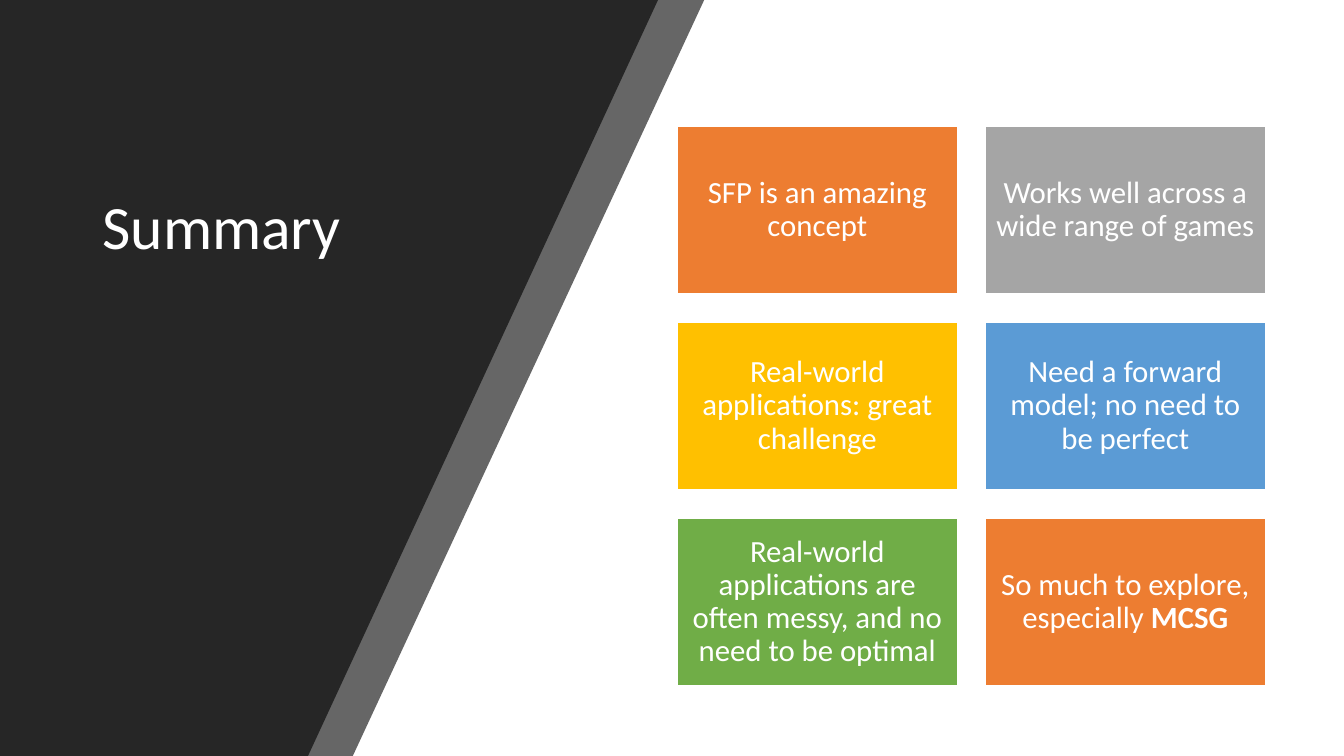
from dataclasses import dataclass

from lxml.etree import SubElement
from pptx import Presentation
from pptx.dml.color import RGBColor
from pptx.enum.shapes import MSO_SHAPE
from pptx.enum.text import MSO_ANCHOR, MSO_AUTO_SIZE, PP_ALIGN
from pptx.oxml.ns import qn
from pptx.shapes.autoshape import Shape
from pptx.slide import Slide
from pptx.util import Pt

WHITE = RGBColor(0xFF, 0xFF, 0xFF)
DARK = RGBColor(0x26, 0x26, 0x26)
ORANGE = RGBColor(0xED, 0x7D, 0x31)
GRAY = RGBColor(0xA5, 0xA5, 0xA5)
GOLD = RGBColor(0xFF, 0xC0, 0x00)
BLUE = RGBColor(0x5B, 0x9B, 0xD5)
GREEN = RGBColor(0x70, 0xAD, 0x47)

FONT = "Calibri"
SLIDE_W, SLIDE_H = 960, 540
COLUMNS = 2
CARD_W, CARD_H, GAP = 200, 120, 20
CARDS_LEFT, CARDS_TOP = 483.8, 90


@dataclass
class Panel:
    top_width: float
    bottom_width: float
    opacity: int  # percent


@dataclass
class Card:
    text: str
    color: RGBColor
    bold_ending: str = ""


PANELS = [Panel(502.6, 252, 70), Panel(470.2, 220.3, 100)]
CARDS = [
    Card("SFP is an amazing concept", ORANGE),
    Card("Works well across a wide range of games", GRAY),
    Card("Real-world applications: great challenge", GOLD),
    Card("Need a forward model; no need to be perfect", BLUE),
    Card("Real-world applications are often messy, and no need to be optimal", GREEN),
    Card("So much to explore, especially ", ORANGE, "MCSG"),
]


def set_opacity(sp: Shape, percent: int) -> None:
    color = sp.element.spPr.find(qn("a:solidFill"))[0]
    SubElement(color, qn("a:alpha")).set("val", str(percent * 1000))


def add_panel(s: Slide, panel: Panel) -> None:
    builder = s.shapes.build_freeform(0, 0, scale=Pt(1))
    builder.add_line_segments(
        [(panel.top_width, 0), (panel.bottom_width, SLIDE_H), (0, SLIDE_H)]
    )
    sp = builder.convert_to_shape()
    sp.shadow.inherit = False
    sp.fill.solid()
    sp.fill.fore_color.rgb = DARK
    sp.line.fill.background()
    if panel.opacity < 100:
        set_opacity(sp, panel.opacity)


def add_title(s: Slide, text: str) -> None:
    """Fill the title placeholder and bring it in front of the panels."""
    sp = s.shapes.title
    sp.element.getparent().append(sp.element)
    sp.left, sp.top, sp.width, sp.height = Pt(66), Pt(34.8), Pt(258), Pt(259)
    tf = sp.text_frame
    tf.text = text
    tf.word_wrap = True
    tf.auto_size = MSO_AUTO_SIZE.NONE
    tf.vertical_anchor = MSO_ANCHOR.MIDDLE
    p = tf.paragraphs[0]
    p.alignment = PP_ALIGN.LEFT
    p.line_spacing = 0.9
    p.font.name, p.font.size = FONT, Pt(44)
    p.font.color.rgb = WHITE


def add_card(s: Slide, card: Card, row: int, column: int) -> None:
    left = CARDS_LEFT + column * (CARD_W + GAP)
    top = CARDS_TOP + row * (CARD_H + GAP)
    sp = s.shapes.add_shape(
        MSO_SHAPE.RECTANGLE, Pt(left), Pt(top), Pt(CARD_W), Pt(CARD_H)
    )
    sp.shadow.inherit = False
    sp.fill.solid()
    sp.fill.fore_color.rgb = card.color
    sp.line.color.rgb = WHITE
    sp.line.width = Pt(1)
    tf = sp.text_frame
    tf.word_wrap = True
    tf.vertical_anchor = MSO_ANCHOR.MIDDLE
    tf.margin_left = tf.margin_right = tf.margin_top = tf.margin_bottom = Pt(6.6)
    p = tf.paragraphs[0]
    p.alignment = PP_ALIGN.CENTER
    p.line_spacing = 0.9
    p.font.name, p.font.size = FONT, Pt(22)
    p.font.color.rgb = WHITE
    p.add_run().text = card.text
    if card.bold_ending:
        r = p.add_run()
        r.text = card.bold_ending
        r.font.bold = True


def main() -> None:
    prs = Presentation()
    prs.slide_width, prs.slide_height = Pt(SLIDE_W), Pt(SLIDE_H)
    s = prs.slides.add_slide(prs.slide_layouts.get_by_name("Title Only"))
    for panel in PANELS:
        add_panel(s, panel)
    add_title(s, "Summary")
    for i, card in enumerate(CARDS):
        add_card(s, card, *divmod(i, COLUMNS))
    prs.save("out.pptx")


if __name__ == "__main__":
    main()
